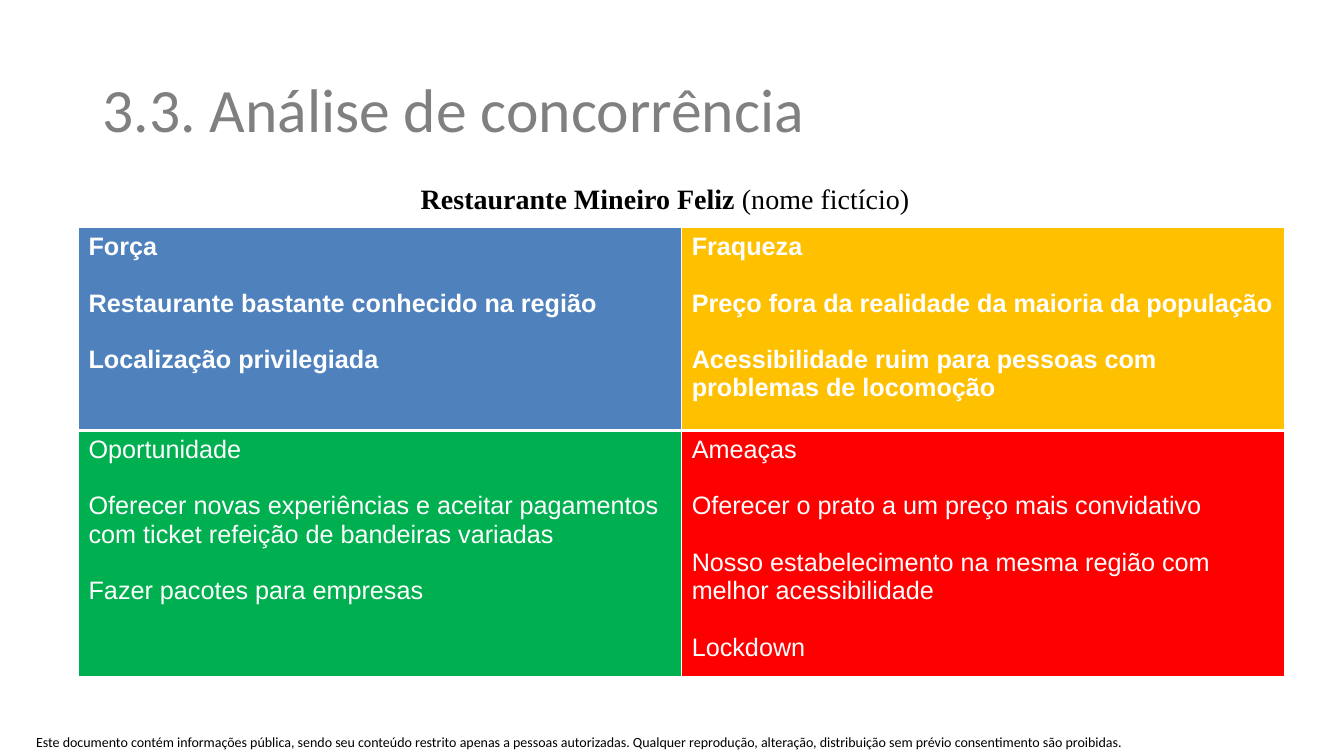
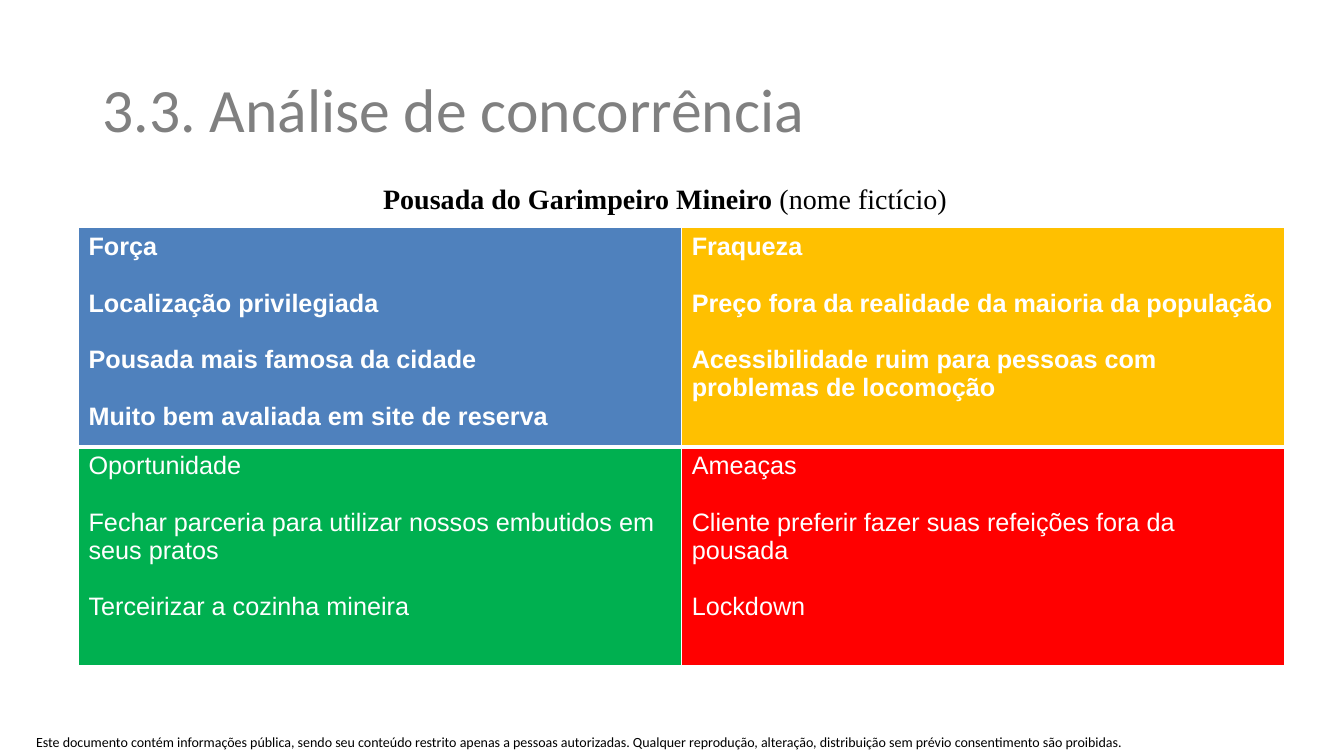
import pptx
import pptx.util
import pptx.dml.color
import pptx.enum.text
import lxml.etree

Cm = pptx.util.Cm
Pt = pptx.util.Pt
Align = pptx.enum.text.PP_ALIGN
Anchor = pptx.enum.text.MSO_ANCHOR

HEX = {
    "white": "FFFFFF", "black": "000000", "grey": "808080",
    "blue": "4F81BD", "gold": "FFC000", "green": "00B050", "red": "FF0000",
}
TITLE = "3.3. Análise de concorrência"
NOTICE = (
    "Este documento contém informações pública, sendo seu conteúdo restrito "
    "apenas a pessoas autorizadas. Qualquer reprodução, alteração, distribuição "
    "sem prévio consentimento são proibidas."
)
FONTS = {
    "title": {"name": "Calibri", "size": Pt(44), "color": "grey"},
    "notice": {"name": "Calibri", "size": Pt(10), "color": "black"},
    "rival": {"name": "Times New Roman", "size": Pt(20), "color": "black"},
    "cell": {"name": "Arial", "size": Pt(18), "color": "white"},
}
QUADS = (
    (("Força", "blue"), ("Fraqueza", "gold")),
    (("Oportunidade", "green"), ("Ameaças", "red")),
)
WEAK = (
    "Preço fora da realidade da maioria da população",
    "Acessibilidade ruim para pessoas com problemas de locomoção",
)
RIVALS = (
    {
        "name": "Restaurante Mineiro Feliz ",
        "rows": (5.11, 5.94),
        "points": (
            (("Restaurante bastante conhecido na região",
              "Localização privilegiada"), WEAK),
            (("Oferecer novas experiências e aceitar pagamentos com ticket "
              "refeição de bandeiras variadas", "Fazer pacotes para empresas"),
             ("Oferecer o prato a um preço mais convidativo",
              "Nosso estabelecimento na mesma região com melhor acessibilidade",
              "Lockdown")),
        ),
    },
    {
        "name": "Pousada do Garimpeiro Mineiro ",
        "rows": (5.52, 5.52),
        "points": (
            (("Localização privilegiada", "Pousada mais famosa da cidade",
              "Muito bem avaliada em site de reserva"), WEAK),
            (("Fechar parceria para utilizar nossos embutidos em seus pratos",
              "Terceirizar a cozinha mineira"),
             ("Cliente preferir fazer suas refeições fora da pousada",
              "Lockdown")),
        ),
    },
)


def rgb(name):
    return pptx.dml.color.RGBColor.from_string(HEX[name])


def apply(item, form):
    for key, value in form.items():
        setattr(item, key, value)


def add_run(para, text, style, bold=False):
    run = para.add_run()
    run.text = text
    form = dict(FONTS[style], bold=bold)
    run.font.color.rgb = rgb(form.pop("color"))
    apply(run.font, form)


def add_text(slide, box, style, parts, frame=None, para=None):
    shape = slide.shapes.add_textbox(*(Cm(side) for side in box))
    apply(shape.text_frame, {"word_wrap": True, **(frame or {})})
    line = shape.text_frame.paragraphs[0]
    apply(line, para or {})
    for text, bold in parts:
        add_run(line, text, style, bold)


def add_edge(cell, side, width):
    props = cell._tc.get_or_add_tcPr()
    space = "{" + props.nsmap["a"] + "}"
    edge = lxml.etree.SubElement(props, space + "ln" + side, w=str(Pt(width)))
    fill = lxml.etree.SubElement(edge, space + "solidFill")
    lxml.etree.SubElement(fill, space + "srgbClr", val=HEX["white"])


def fill_cell(cell, head, points, color, top):
    thick = "B" if top else "T"
    for side in "LRTB":
        add_edge(cell, side, 3 if side == thick else 0.96)
    cell.fill.solid()
    cell.fill.fore_color.rgb = rgb(color)
    frame = cell.text_frame
    for index, text in enumerate((head, *points)):
        para = frame.add_paragraph() if index else frame.paragraphs[0]
        para.space_before = Pt(20.2 if index else 0)
        add_run(para, text, "cell", top)


def add_swot(slide, rival):
    shape = slide.shapes.add_table(
        2, 2, Cm(1.98), Cm(5.74), Cm(30.4), Cm(sum(rival["rows"])))
    table = shape.table
    apply(table, {"first_row": False, "horz_banding": False})
    for col in table.columns:
        col.width = Cm(15.2)
    for r, high in enumerate(rival["rows"]):
        table.rows[r].height = Cm(high)
        for c, (head, color) in enumerate(QUADS[r]):
            fill_cell(table.cell(r, c), head, rival["points"][r][c], color, r == 0)


def add_base(slide):
    add_text(slide, (0, 18.47, 29.16, 0.43), "notice", [(NOTICE, False)],
             {"vertical_anchor": Anchor.MIDDLE, "margin_left": Cm(0.91),
              "margin_top": 0, "margin_right": 0, "margin_bottom": 0})
    add_text(slide, (2.33, 1.01, 29.2, 3.67), "title", [(TITLE, False)],
             {"vertical_anchor": Anchor.MIDDLE}, {"line_spacing": 0.9})


def main():
    deck = pptx.Presentation()
    apply(deck, {"slide_width": Cm(33.87), "slide_height": Cm(19.05)})
    for rival in RIVALS:
        slide = deck.slides.add_slide(deck.slide_layouts[6])
        add_base(slide)
        add_text(slide, (2, 4.45, 29.52, 12.07), "rival",
                 [(rival["name"], True), ("(nome fictício)", False)],
                 para={"alignment": Align.CENTER})
        add_swot(slide, rival)
    deck.save("out.pptx")


main()
